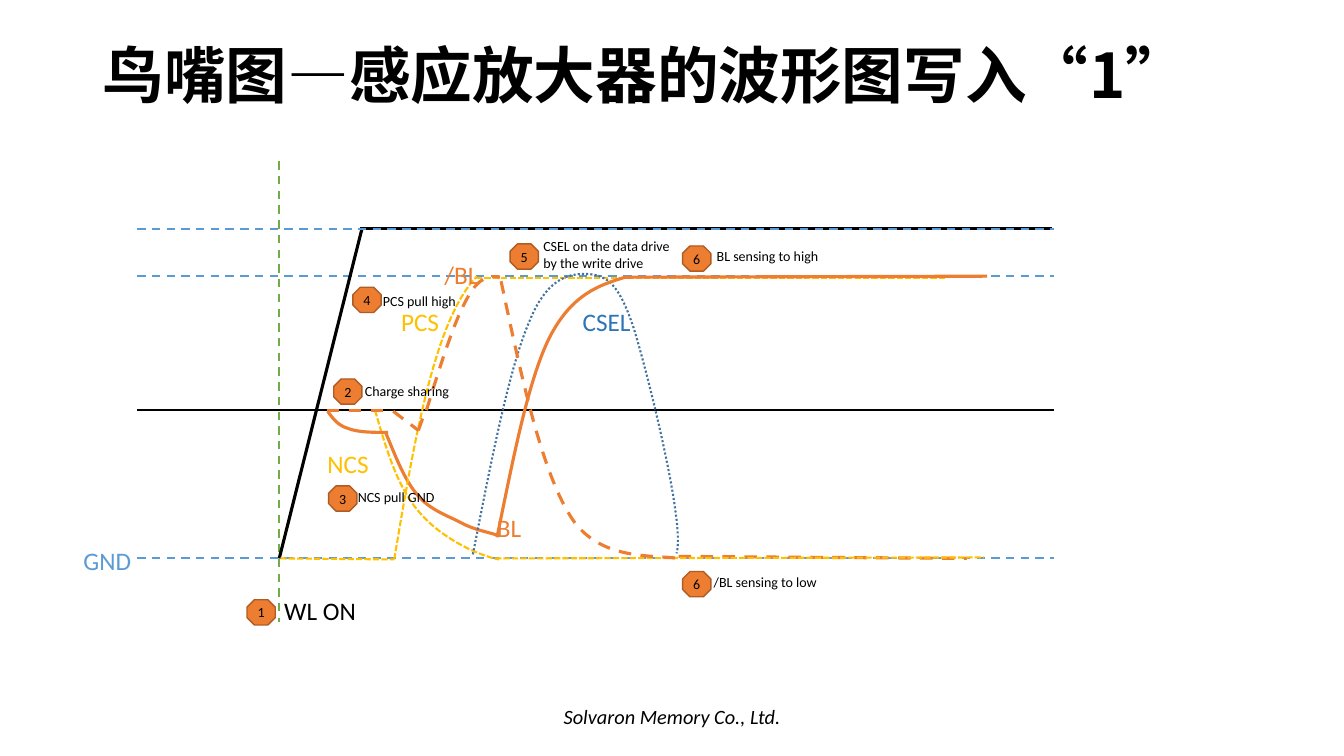
from lxml.etree import SubElement
from pptx import Presentation
from pptx.dml.color import RGBColor
from pptx.enum.dml import MSO_LINE
from pptx.enum.shapes import MSO_CONNECTOR, MSO_SHAPE
from pptx.enum.text import MSO_ANCHOR, PP_ALIGN
from pptx.oxml.ns import qn
from pptx.util import Pt

PX = 9144
BLACK = RGBColor(0x00, 0x00, 0x00)
LIGHT_BLUE = RGBColor(0x5B, 0x9B, 0xD5)
LABEL_BLUE = RGBColor(0x2E, 0x75, 0xB6)
CURVE_BLUE = RGBColor(0x43, 0x73, 0x9E)
GREEN = RGBColor(0x70, 0xAD, 0x47)
ORANGE = RGBColor(0xED, 0x7D, 0x31)
DARK_ORANGE = RGBColor(0xAF, 0x5C, 0x24)
YELLOW = RGBColor(0xFF, 0xC0, 0x00)

LATIN_FONT = "Calibri"
TITLE_FONT = "Noto Sans CJK SC"
THIN, THICK = 1.5, 2.25
DASH, SHORT_DASH, DOT = MSO_LINE.DASH, MSO_LINE.SQUARE_DOT, MSO_LINE.ROUND_DOT

HIGH, BITLINE_HIGH, MIDDLE, GROUND = 227, 274, 407, 554
AXIS_LEFT, AXIS_RIGHT = 136, 1045
WORD_LINE_ON = 277


def write(frame, text, size=10, color=BLACK, font=LATIN_FONT, bold=False,
          italic=False, align=PP_ALIGN.LEFT, spacing=None):
    paragraph = frame.paragraphs[0]
    paragraph.alignment = align
    if spacing:
        paragraph.line_spacing = spacing
    run = paragraph.add_run()
    run.text = text
    run.font.name = font
    run.font.size = Pt(size)
    run.font.bold = bold
    run.font.italic = italic
    run.font.color.rgb = color
    SubElement(run.font._element, qn("a:ea")).set("typeface", font)


def add_label(slide, text, left, top, width, height, wrap=True, **text_format):
    box = slide.shapes.add_textbox(left * PX, top * PX, width * PX, height * PX)
    box.text_frame.word_wrap = wrap
    write(box.text_frame, text, **text_format)


def style_line(line, color, width, dash):
    line.color.rgb = color
    line.width = Pt(width)
    if dash:
        line.dash_style = dash


def add_line(slide, start, end, color, width=THIN, dash=None):
    points = [value * PX for value in (*start, *end)]
    connector = slide.shapes.add_connector(MSO_CONNECTOR.STRAIGHT, *points)
    style_line(connector.line, color, width, dash)
    SubElement(connector._element.spPr, qn("a:effectLst"))


def add_curve(slide, points, color, width=THIN, dash=None):
    builder = slide.shapes.build_freeform(*points[0], scale=PX)
    builder.add_line_segments(points[1:], close=False)
    shape = builder.convert_to_shape()
    shape.shadow.inherit = False
    shape.fill.background()
    style_line(shape.line, color, width, dash)
    outline = next(shape._element.iter(qn("a:path")))
    segments = outline.findall(qn("a:lnTo"))
    for first in range(0, len(segments), 3):
        bezier = SubElement(outline, qn("a:cubicBezTo"))
        for segment in segments[first:first + 3]:
            bezier.append(segment[0])
            outline.remove(segment)


def add_badge(slide, number, left, top):
    badge = slide.shapes.add_shape(
        MSO_SHAPE.OCTAGON, left * PX, top * PX, 28 * PX, 25 * PX)
    badge.shadow.inherit = False
    badge.fill.solid()
    badge.fill.fore_color.rgb = ORANGE
    style_line(badge.line, DARK_ORANGE, 1, None)
    frame = badge.text_frame
    frame.margin_left = frame.margin_right = 0
    frame.margin_top = frame.margin_bottom = 0
    frame.vertical_anchor = MSO_ANCHOR.MIDDLE
    frame.word_wrap = False
    write(frame, str(number), align=PP_ALIGN.CENTER)


def add_levels(slide):
    add_line(slide, (AXIS_LEFT, GROUND), (AXIS_RIGHT, GROUND), LIGHT_BLUE, dash=DASH)
    add_line(slide, (AXIS_LEFT, MIDDLE), (AXIS_RIGHT, MIDDLE), BLACK)
    add_line(slide, (AXIS_LEFT, BITLINE_HIGH), (AXIS_RIGHT, BITLINE_HIGH),
             LIGHT_BLUE, dash=DASH)
    add_line(slide, (WORD_LINE_ON, 160), (WORD_LINE_ON, 617), GREEN, dash=DASH)
    add_line(slide, (WORD_LINE_ON, GROUND), (359, HIGH), BLACK, THICK)
    add_line(slide, (357, HIGH), (1043, HIGH), BLACK, THICK)
    add_line(slide, (AXIS_LEFT, HIGH), (AXIS_RIGHT, HIGH), LIGHT_BLUE, dash=DASH)


def add_waveforms(slide):
    add_line(slide, (673, 552), (959, GROUND), ORANGE, THICK, DASH)
    add_curve(slide, [(382, 428), (392, 452), (401, 476), (414, 491),
                      (426, 506), (445, 512), (458, 519),
                      (471, 526), (485, 528), (493, 531)], ORANGE, THICK)
    add_curve(slide, [(372, 407), (383, 445), (394, 483), (415, 507),
                      (435, 532), (473, 551), (495, 555)], YELLOW, dash=SHORT_DASH)
    add_curve(slide, [(391, 555), (411, 436), (431, 318), (473, 274)],
              YELLOW, dash=SHORT_DASH)
    add_line(slide, (472, 276), (938, 276), YELLOW, dash=SHORT_DASH)
    add_line(slide, (491, GROUND), (976, 553), YELLOW, dash=SHORT_DASH)
    add_line(slide, (620, 275), (979, BITLINE_HIGH), ORANGE, THICK)
    add_curve(slide, [(469, 550), (487, 458), (505, 365), (525, 319),
                      (544, 272), (568, 271), (585, 272),
                      (602, 274), (614, 281), (629, 327),
                      (643, 373), (680, 521), (671, 549)], CURVE_BLUE, dash=DOT)
    add_curve(slide, [(325, 408), (330, 415), (335, 422), (345, 425),
                      (355, 429), (370, 429), (385, 429)], ORANGE, THICK)
    add_curve(slide, [(423, 407), (437, 362), (451, 317), (464, 295),
                      (476, 273), (487, 274), (496, 275)], ORANGE, THICK, DASH)
    add_curve(slide, [(493, 533), (509, 455), (524, 377), (545, 335),
                      (567, 292), (594, 283), (620, 275)], ORANGE, THICK)
    add_curve(slide, [(497, 279), (517, 373), (537, 468), (567, 514),
                      (597, 560), (657, 549), (677, 555)], ORANGE, THICK, DASH)
    add_line(slide, (324, MIDDLE), (388, MIDDLE), ORANGE, THICK, DASH)
    add_line(slide, (278, GROUND), (391, 555), YELLOW, dash=SHORT_DASH)
    add_line(slide, (390, 408), (415, 427), ORANGE, THICK, DASH)
    add_line(slide, (415, 427), (422, MIDDLE), ORANGE, THICK, DASH)


def add_signal_names(slide):
    for text, left, top, width, color in (
            ("WL ON", 272, 586, 112, BLACK),
            ("GND", 73, 536, 86, LIGHT_BLUE),
            ("/BL", 431, 252, 159, ORANGE),
            ("BL", 483, 503, 174, ORANGE),
            ("CSEL", 568, 299, 72, LABEL_BLUE),
            ("NCS", 315, 440, 66, YELLOW),
            ("PCS", 388, 299, 66, YELLOW)):
        add_label(slide, text, left, top, width, 40, size=18, color=color)


def add_steps(slide):
    for number, left, top in ((1, 245, 595), (2, 331, 376), (3, 326, 482),
                              (4, 350, 285), (5, 506, 242), (6, 677, 244),
                              (6, 677, 567)):
        add_badge(slide, number, left, top)
    for text, left, top, width, height in (
            ("Charge sharing", 352, 375, 122, 27),
            ("NCS pull GND", 345, 480, 148, 27),
            ("PCS pull high", 370, 285, 220, 27),
            ("CSEL on the data drive by the write drive", 529, 231, 158, 44),
            ("BL sensing to high", 701, 241, 239, 27),
            ("/BL sensing to low", 698, 564, 212, 27)):
        add_label(slide, text, left, top, width, height)


def main():
    presentation = Presentation()
    presentation.slide_width = 1333 * PX
    presentation.slide_height = 750 * PX
    slide = presentation.slides.add_slide(presentation.slide_layouts[6])
    add_label(slide, "Solvaron Memory Co., Ltd.", 549, 694, 235, 34, wrap=False,
              size=14.5, italic=True, align=PP_ALIGN.CENTER)
    add_label(slide, "鸟嘴图—感应放大器的波形图写入“1”", 92, 40, 1150, 145,
              size=44, font=TITLE_FONT, bold=True, spacing=0.9)
    add_levels(slide)
    add_waveforms(slide)
    add_signal_names(slide)
    add_steps(slide)
    presentation.save("out.pptx")


if __name__ == "__main__":
    main()
